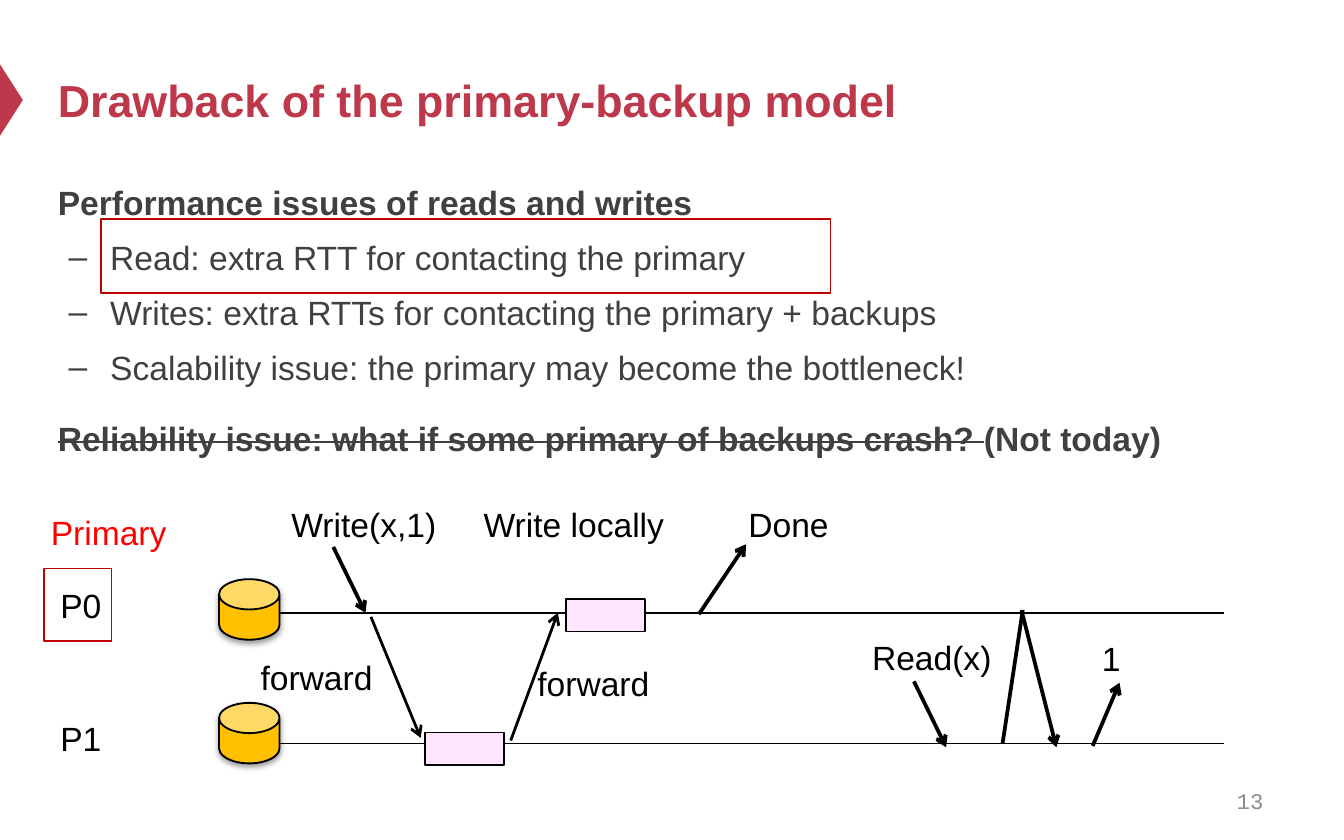
from lxml import etree
from pptx import Presentation, util as u
from pptx.dml.color import RGBColor
from pptx.enum import shapes, text
from pptx.oxml.ns import qn

PX = 9144
RED = RGBColor(0xBE, 0x38, 0x4B)
FRAME = RGBColor(0xC0, 0x00, 0x00)
BRIGHT = RGBColor(0xFF, 0x00, 0x00)
DARK = RGBColor(0x40, 0x40, 0x40)
GRAY = RGBColor(0x8C, 0x8C, 0x8C)
BLACK = RGBColor(0x00, 0x00, 0x00)
GOLD = RGBColor(0xFF, 0xC0, 0x00)
PINK = RGBColor(0xFF, 0xE6, 0xFE)

TITLE = "Drawback of the primary-backup model"
BODY = [
    (0, [("Performance issues of reads and writes", False)]),
    (1, [("Read: extra RTT for contacting the primary", False)]),
    (1, [("Writes: extra RTTs for contacting the primary + backups", False)]),
    (1, [("Scalability issue: the primary may become the bottleneck!", False)]),
    (0, [("Reliability issue: what if some primary of backups crash? ", True),
         ("(Not today)", False)]),
]
TIMELINES = [456, 553]
DISKS = [431, 523]
FRAMES = [(33, 423, 50, 54), (75, 163, 543, 55)]
WORK = [(421, 446), (316, 545)]
LABELS = [
    ("P0", 35, 430, 71, BLACK),
    ("P1", 35, 529, 71, BLACK),
    ("Primary", 28, 376, 150, BRIGHT),
    ("Write(x,1)", 207, 370, 175, BLACK),
    ("Write locally", 350, 370, 175, BLACK),
    ("Done", 547, 370, 175, BLACK),
    ("forward", 184, 484, 175, BLACK),
    ("forward", 390, 488, 175, BLACK),
    ("Read(x)", 639, 469, 175, BLACK),
    ("1", 810, 470, 46, BLACK),
]
MESSAGES = [
    (248, 407, 272, 456, 2, True),
    (276, 459, 313, 549, 1.5, True),
    (380, 551, 415, 456, 1.5, True),
    (520, 457, 555, 405, 2, True),
    (680, 507, 704, 556, 2, True),
    (813, 555, 833, 508, 2, True),
    (760, 454, 786, 556, 2, True),
    (746, 553, 761, 454, 2, False),
]


def box(*px):
    return [v * PX for v in px]


def place(sp, *px):
    sp.left, sp.top, sp.width, sp.height = box(*px)


def write(p, words, size=18, color=BLACK, bold=False, name="Arial", strike=False):
    r = p.add_run()
    r.text = words
    f = r.font
    f.size, f.bold, f.name = u.Pt(size), bold, name
    f.color.rgb = color
    if strike:
        r._r.get_or_add_rPr().set("strike", "sngStrike")


def label(words, x, y, w, h=40, align=text.PP_ALIGN.LEFT,
          anchor=text.MSO_ANCHOR.TOP, **fmt):
    tf = s.shapes.add_textbox(*box(x, y, w, h)).text_frame
    tf.word_wrap = True
    tf.vertical_anchor = anchor
    tf.paragraphs[0].alignment = align
    write(tf.paragraphs[0], words, **fmt)


def shape(kind, *px, fill=None, line=None):
    sp = s.shapes.add_shape(kind, *box(*px))
    sp.shadow.inherit = False
    if fill is None:
        sp.fill.background()
    else:
        sp.fill.solid()
        sp.fill.fore_color.rgb = fill
    if line is None:
        sp.line.fill.background()
    else:
        sp.line.color.rgb = line
        sp.line.width = u.Pt(1)
    return sp


def line(x1, y1, x2, y2, width=0.75, arrow=False):
    c = s.shapes.add_connector(shapes.MSO_CONNECTOR.STRAIGHT, *box(x1, y1, x2, y2))
    c.line.color.rgb = BLACK
    c.line.width = u.Pt(width)
    if arrow:
        etree.SubElement(c.line._get_or_add_ln(), qn("a:tailEnd"), type="arrow")
    etree.SubElement(c._element.spPr, qn("a:effectLst"))


def disk(y):
    sp = shape(shapes.MSO_SHAPE.CAN, 163, y, 45, 45, fill=GOLD, line=BLACK)
    sp.adjustments[0] = 0.5
    effects = sp._element.spPr.find(qn("a:effectLst"))
    shadow = etree.SubElement(effects, qn("a:outerShdw"), blurRad=str(u.Pt(3.1)),
                              dist=str(u.Pt(1.6)), dir="5400000", rotWithShape="0")
    color = etree.SubElement(shadow, qn("a:srgbClr"), val=str(BLACK))
    etree.SubElement(color, qn("a:alpha"), val="38000")


prs = Presentation()
prs.slide_width, prs.slide_height = box(1000, 625)
s = prs.slides.add_slide(prs.slide_layouts[1])

marker = shape(shapes.MSO_SHAPE.ISOSCELES_TRIANGLE, -18, 66, 53, 17, fill=RED)
marker.rotation = 90

title, body = s.placeholders
place(title, 33, 25, 900, 98)
tf = title.text_frame
tf.auto_size = text.MSO_AUTO_SIZE.NONE
tf.vertical_anchor = text.MSO_ANCHOR.MIDDLE
tf.paragraphs[0].alignment = text.PP_ALIGN.LEFT
write(tf.paragraphs[0], TITLE, size=24, color=RED, bold=True)

place(body, 33, 124, 900, 256)
tf = body.text_frame
tf.auto_size = text.MSO_AUTO_SIZE.NONE
for i, (level, runs) in enumerate(BODY):
    p = tf.add_paragraph() if i else tf.paragraphs[0]
    p.level = level
    p.line_spacing = 1.2
    p.space_before = u.Pt((3.6 if level else 12) if i else 0)
    pPr = p._p.get_or_add_pPr()
    pPr.set("marL", str(39 * PX * level))
    pPr.set("indent", str(-31 * PX * level))
    if level:
        etree.SubElement(pPr, qn("a:buChar"), char="–")
    else:
        etree.SubElement(pPr, qn("a:buNone"))
    for words, strike in runs:
        write(p, words, color=DARK, bold=not level, strike=strike)

label("13", 717, 579, 233, 33, align=text.PP_ALIGN.RIGHT,
      anchor=text.MSO_ANCHOR.MIDDLE, size=12, color=GRAY, name="Courier New")

for y in TIMELINES:
    line(171, y, 911, y)
for y in DISKS:
    disk(y)
for frame in FRAMES:
    shape(shapes.MSO_SHAPE.RECTANGLE, *frame, line=FRAME)
for x, y in WORK:
    shape(shapes.MSO_SHAPE.RECTANGLE, x, y, 59, 24, fill=PINK, line=BLACK)
for message in MESSAGES:
    line(*message)
for words, x, y, w, color in LABELS:
    label(words, x, y, w, color=color)

prs.save("out.pptx")
